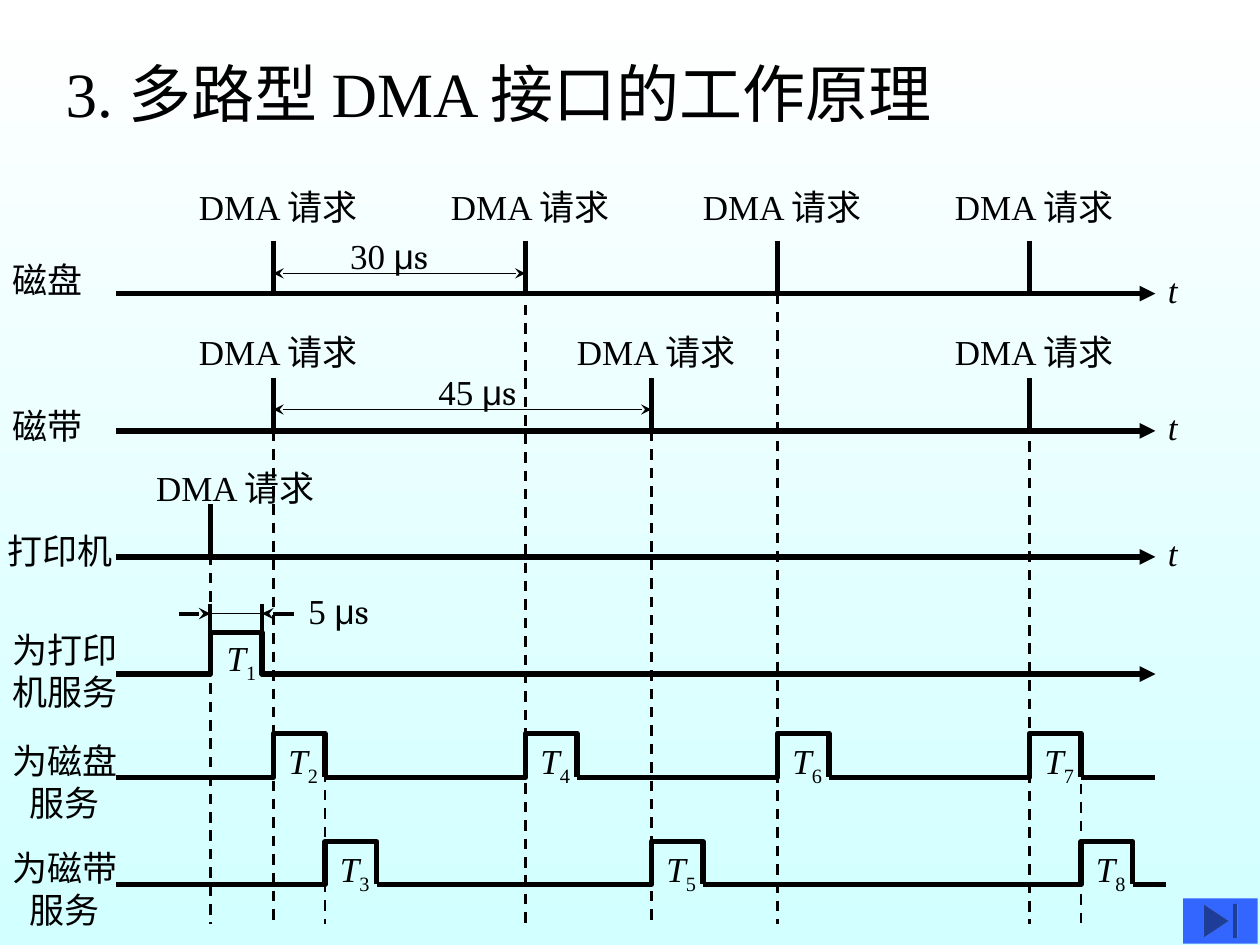
from lxml.etree import SubElement
from pptx import Presentation
from pptx.dml.color import RGBColor
from pptx.enum.dml import MSO_LINE
from pptx.enum.shapes import MSO_CONNECTOR, MSO_SHAPE
from pptx.enum.text import MSO_ANCHOR, MSO_AUTO_SIZE, PP_ALIGN
from pptx.oxml.ns import qn
from pptx.util import Inches, Pt

SERIF = "Times New Roman"
MICROSECONDS = [("μ", "Arial", 0), ("s", "Cambria", 0)]

# Time grid: column 0 is the printer request, column 1 the first disk request
COLUMNS = [1.67 + 0.5 * n for n in range(14)]
AXIS_START, AXIS_END = 0.92, 9.17
PULSE = 0.41
DASH_END = 7.33

prs = Presentation()
prs.slide_width, prs.slide_height = Inches(10), Inches(7.5)
slide = prs.slides.add_slide(prs.slide_layouts[5])
shapes = slide.shapes


def write(text, left, top, width, height=0.44, box=None, size=20,
          italic=False, align=PP_ALIGN.LEFT, tails=()):
    """Write text, one paragraph a line; tails are (text, font, baseline) runs."""
    box = box or shapes.add_textbox(0, 0, 0, 0)
    box.left, box.top = Inches(left), Inches(top)
    box.width, box.height = Inches(width), Inches(height)
    frame = box.text_frame
    frame.word_wrap = False
    frame.auto_size = MSO_AUTO_SIZE.NONE
    frame.vertical_anchor = MSO_ANCHOR.TOP
    frame.text = text
    for part, font_name, baseline in tails:
        run = frame.paragraphs[-1].add_run()
        run.text, run.font.name = part, font_name
        if baseline:
            run.font.italic = False
            run._r.get_or_add_rPr().set("baseline", str(baseline))
    for paragraph in frame.paragraphs:
        paragraph.alignment = align
        for run in paragraph.runs:
            run.font.size = Pt(size)
            run.font.color.rgb = RGBColor.from_string("000000")
            run.font.name = run.font.name or SERIF
            if run.font.italic is None:
                run.font.italic = italic


def stroke(*points, weight=3, dashed=False, head=None, tail=None):
    """Draw a connector through two points, or an open outline through more."""
    corners = [(Inches(x), Inches(y)) for x, y in points]
    if len(corners) == 2:
        path = shapes.add_connector(MSO_CONNECTOR.STRAIGHT, *corners[0], *corners[1])
    else:
        builder = shapes.build_freeform(*corners[0])
        builder.add_line_segments(corners[1:], close=False)
        path = builder.convert_to_shape()
        path.fill.background()
    path.line.color.rgb = RGBColor.from_string("000000")
    path.line.width = Pt(weight)
    if dashed:
        path.line.dash_style = MSO_LINE.DASH
    properties = path._element.spPr
    for tag, arrow in (("a:headEnd", head), ("a:tailEnd", tail)):
        if arrow:
            SubElement(properties.find(qn("a:ln")), qn(tag)).set("type", arrow)
    SubElement(properties, qn("a:effectLst"))


# Background and title
backdrop = slide.background.fill
backdrop.gradient()
backdrop.gradient_angle = 270
for stop, position, colour in zip(backdrop.gradient_stops, (0, 1), ("FFFFFF", "D2FFFF")):
    stop.position = position
    stop.color.rgb = RGBColor.from_string(colour)
write("3. 多路型 DMA 接口的工作原理", 0.42, 0.38, 7.46, 0.7, box=shapes.title, size=36)

# Service rows: name, low level, high level, name top, pulses as (number, left)
services = [
    ("为磁盘\n服务", 6.17, 5.82, 5.82,
     [(2, COLUMNS[1]), (4, COLUMNS[5]), (6, COLUMNS[9]), (7, COLUMNS[13])], AXIS_END),
    ("为磁带\n服务", 7.02, 6.68, 6.67,
     [(3, COLUMNS[1] + PULSE), (5, COLUMNS[7]), (8, COLUMNS[13] + PULSE)], 9.25),
]
for name, low, high, name_top, pulses, row_end in services:
    write(name, 0, name_top, 1.03, 0.77, align=PP_ALIGN.CENTER)
    start = AXIS_START
    for number, left in pulses:
        right = left + PULSE
        stroke((start, low), (left, low), (left, high), (right, high), (right, low))
        write("T", left + 0.02, high, 0.43, 0.48, italic=True,
              tails=[(str(number), SERIF, -25000)])
        start = right
    stroke((start, low), (row_end, low))

# Printer service with its pulse width
left, right = COLUMNS[0], COLUMNS[0] + PULSE
write("为打印\n机服务", 0, 4.94, 1.03, 0.77)
stroke((AXIS_START, 5.35), (left, 5.35), (left, 5.02), (right, 5.02),
       (right, 5.35), (AXIS_END, 5.35), tail="triangle")
write("T", left + 0.03, 5, 0.43, 0.48, italic=True, tails=[("1", SERIF, -25000)])
for edge, outside in ((left, left - 0.25), (right, right + 0.25)):
    stroke((edge, 4.79), (edge, 5.04), weight=2.25)
    stroke((outside, 4.87), (edge, 4.87), weight=2.25, tail="stealth")
stroke((left, 4.87), (right, 4.87), weight=0.75)
write("5 ", 2.35, 4.63, 0.67, tails=MICROSECONDS)

# Dashed time marks
marks = [(COLUMNS[1], 3.42), (COLUMNS[5], 2.42), (COLUMNS[9], 2.33), (COLUMNS[13], 3.5),
         (COLUMNS[7], 3.42), (COLUMNS[0], 4.4), (COLUMNS[1] + PULSE, 5.83),
         (COLUMNS[13] + PULSE, 5.93)]
for x, top in marks:
    stroke((x, top), (x, DASH_END), weight=1.5, dashed=True)

# Request rows: name, name left, name top, name width, axis, label top, label offset, columns
requests = [
    ("打印机", -0.04, 4.15, 1.03, 4.42, 3.65, -0.53, [0]),
    ("磁带", 0, 3.16, 0.75, 3.42, 2.57, -0.69, [1, 7, 13]),
    ("磁盘", 0, 2, 0.75, 2.33, 1.42, -0.69, [1, 5, 9, 13]),
]
for name, name_left, name_top, name_width, axis, label_top, offset, columns in requests:
    stroke((AXIS_START, axis), (AXIS_END, axis), tail="triangle")
    write(name, name_left, name_top, name_width)
    write("t", AXIS_END, axis - 0.25, 0.27, italic=True)
    for column in columns:
        x = COLUMNS[column]
        stroke((x, axis - 0.42), (x, axis))
        write("DMA 请求", x + offset, label_top, 1.54)

# Request intervals
for interval, column, y, label_left, label_top in (
        ("45 ", 7, 3.25, 3.38, 2.89), ("30 ", 5, 2.17, 2.68, 1.81)):
    stroke((COLUMNS[1], y), (COLUMNS[column], y), weight=1, head="stealth", tail="stealth")
    write(interval, label_left, label_top, 0.81, tails=MICROSECONDS)

# Jump button
jump = shapes.add_shape(MSO_SHAPE.ACTION_BUTTON_END, Inches(9.39), Inches(7.13),
                        Inches(0.59), Inches(0.36))
jump.adjustments  # bevelled look comes from the outline below
jump.shadow.inherit = False
jump.fill.solid()
jump.fill.fore_color.rgb = RGBColor.from_string("3366FF")
jump.line.fill.background()

prs.save("out.pptx")
